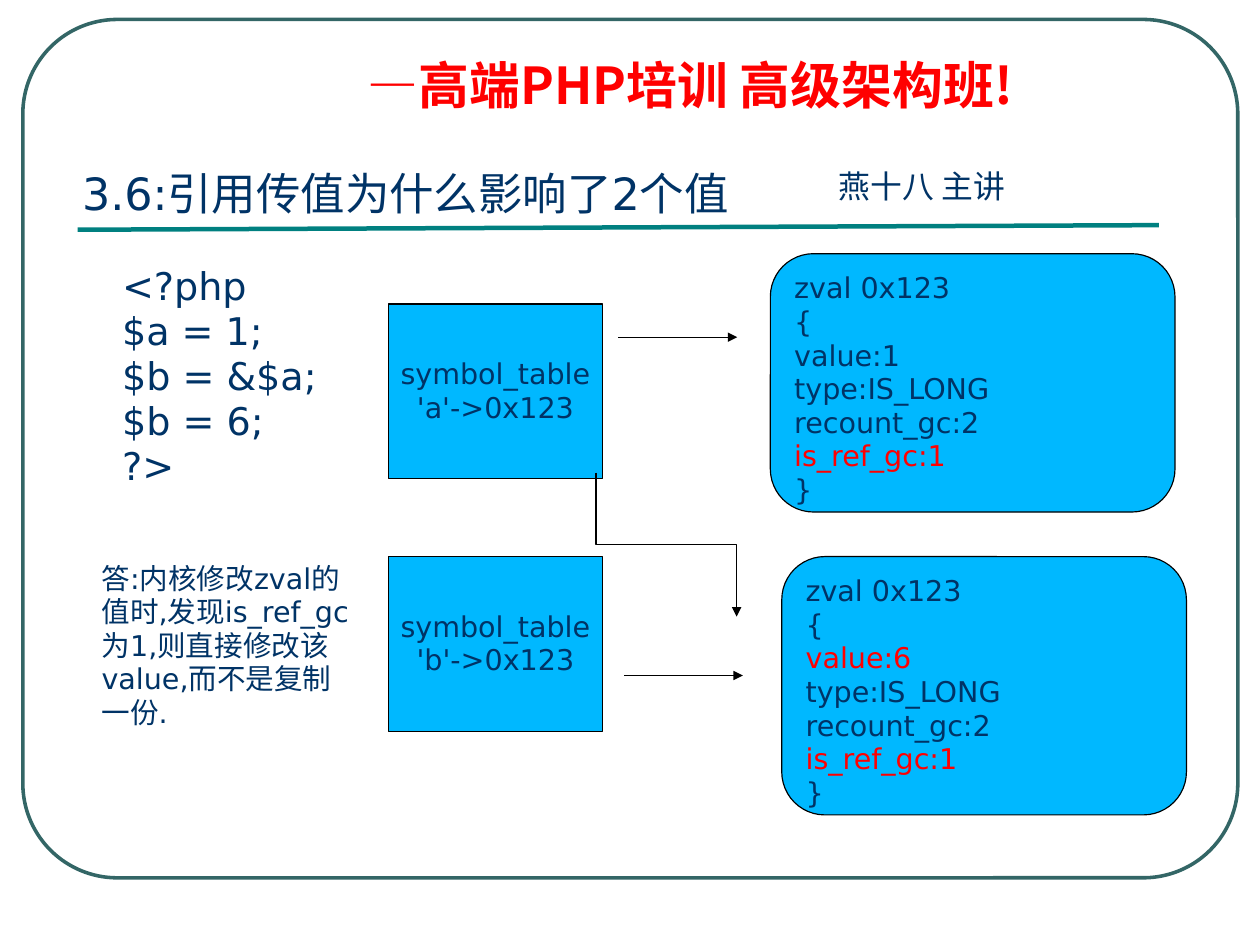
from lxml import etree
from pptx import Presentation
from pptx.dml.color import RGBColor
from pptx.enum.shapes import MSO_CONNECTOR as LINK, MSO_SHAPE as SHAPE
from pptx.enum.text import MSO_ANCHOR as ANCHOR, MSO_AUTO_SIZE as FIT, PP_ALIGN as ALIGN
from pptx.oxml.ns import qn
from pptx.util import Inches, Pt

NAVY = RGBColor(0x00, 0x33, 0x66)
RED = RGBColor(0xFF, 0x00, 0x00)
SKY = RGBColor(0x00, 0xB8, 0xFF)
TEAL = RGBColor(0x00, 0x80, 0x80)
FRAME_GREEN = RGBColor(0x33, 0x66, 0x66)
BLACK = RGBColor(0x00, 0x00, 0x00)
SANS = "DejaVu Sans"
CJK = "Noto Sans CJK SC"


def write(holder, text, size=18, font=SANS, color=NAVY, bold=False, align=ALIGN.LEFT,
          anchor=ANCHOR.TOP, wrap=True, fit=FIT.SHAPE_TO_FIT_TEXT, spacing=0.98, red=()):
    frame = holder.text_frame
    frame.word_wrap = wrap
    frame.auto_size = fit
    frame.vertical_anchor = anchor
    for number, line in enumerate(text.split("\n")):
        paragraph = frame.add_paragraph() if number else frame.paragraphs[0]
        paragraph.alignment = align
        paragraph.line_spacing = spacing
        run = paragraph.add_run()
        run.text = line
        run.font.size = Pt(size)
        run.font.bold = bold
        run.font.name = font
        run.font.color.rgb = RED if line in red else color
        etree.SubElement(run.font._element, qn("a:ea")).set("typeface", CJK)
    return frame


def connect(kind, x1, y1, x2, y2, color=BLACK, width=0.75, arrow=True):
    link = slide.shapes.add_connector(kind, Inches(x1), Inches(y1), Inches(x2), Inches(y2))
    link.line.color.rgb = color
    link.line.width = Pt(width)
    if arrow:
        etree.SubElement(link.line._get_or_add_ln(), qn("a:tailEnd")).set("type", "triangle")
    etree.SubElement(link._element.spPr, qn("a:effectLst"))
    return link


# Page of 28 by 21 centimetres
prs = Presentation()
prs.slide_width, prs.slide_height = Inches(28 / 2.54), Inches(21 / 2.54)
slide = prs.slides.add_slide(prs.slide_layouts[6])

# Course banner
banner = slide.shapes.add_textbox(Inches(3.11), Inches(0.48), Inches(6.89), Inches(0.58))
banner_line = write(banner, "—高端PHP培训 高级架构班!", size=32, font=CJK, color=RED,
                    bold=True, spacing=0.9).paragraphs[0]
banner_line.space_before = Pt(8.2)
indents = banner_line._p.get_or_add_pPr()
indents.set("marL", str(Inches(0.38)))
indents.set("indent", str(Inches(-0.37)))

# Rounded border and heading rule
border = slide.shapes.add_shape(SHAPE.ROUNDED_RECTANGLE, Inches(0.2), Inches(0.17),
                                Inches(10.63), Inches(7.51))
border.adjustments[0] = 0.11
border.shadow.inherit = False
border.fill.background()
border.line.color.rgb = FRAME_GREEN
border.line.width = Pt(2.25)
connect(LINK.STRAIGHT, 0.68, 2.01, 10.14, 1.97, color=TEAL, width=2.83, arrow=False)

# Lecturer, heading, code and answer
for x, y, w, h, text, style in [
    (7.24, 1.43, 1.86, 0.43, "燕十八 主讲", dict(size=20, font=CJK)),
    (0.62, 1.43, 6.2, 0.56, "3.6:引用传值为什么影响了2个值", dict(size=28)),
    (0.97, 2.27, 5.13, 2.06, "<?php\n$a = 1;\n$b = &$a;\n$b = 6;\n?>", dict(size=24)),
    (0.79, 4.87, 2.43, 1.57,
     "答:内核修改zval的值时,发现is_ref_gc为1,则直接修改该value,而不是复制一份.", {}),
]:
    box = slide.shapes.add_textbox(Inches(x), Inches(y), Inches(w), Inches(h))
    write(box, text, **style)

# Symbol tables and the zval structures they point to
SYMBOL = (SHAPE.RECTANGLE, 1.87, 1.53, dict(align=ALIGN.CENTER, anchor=ANCHOR.MIDDLE))
ZVAL = (SHAPE.FLOWCHART_ALTERNATE_PROCESS, 3.54, 2.26, dict(red=("value:6", "is_ref_gc:1")))
ZVAL_TEXT = "zval 0x123\n{{\nvalue:{}\ntype:IS_LONG\nrecount_gc:2\nis_ref_gc:1\n}}"
for (outline, w, h, style), x, y, text in [
    (SYMBOL, 3.4, 2.66, "symbol_table\n'a'->0x123"),
    (SYMBOL, 3.4, 4.87, "symbol_table\n'b'->0x123"),
    (ZVAL, 6.74, 2.22, ZVAL_TEXT.format(1)),
    (ZVAL, 6.84, 4.87, ZVAL_TEXT.format(6)),
]:
    block = slide.shapes.add_shape(outline, Inches(x), Inches(y), Inches(w), Inches(h))
    block.shadow.inherit = False
    block.fill.solid()
    block.fill.fore_color.rgb = SKY
    block.line.color.rgb = BLACK
    block.line.width = Pt(0.75)
    write(block, text, wrap=False, fit=FIT.NONE, **style)

# Reference arrows; the bent one is turned to leave downwards
connect(LINK.STRAIGHT, 5.41, 2.95, 6.45, 2.95)
connect(LINK.STRAIGHT, 5.46, 5.91, 6.5, 5.91)
bend = connect(LINK.ELBOW, 5.2, 4.15, 6.46, 5.38)
bend._element.spPr.xfrm.set("rot", str(270 * 60000))
bend._element.spPr.xfrm.set("flipH", "1")

prs.save("out.pptx")
